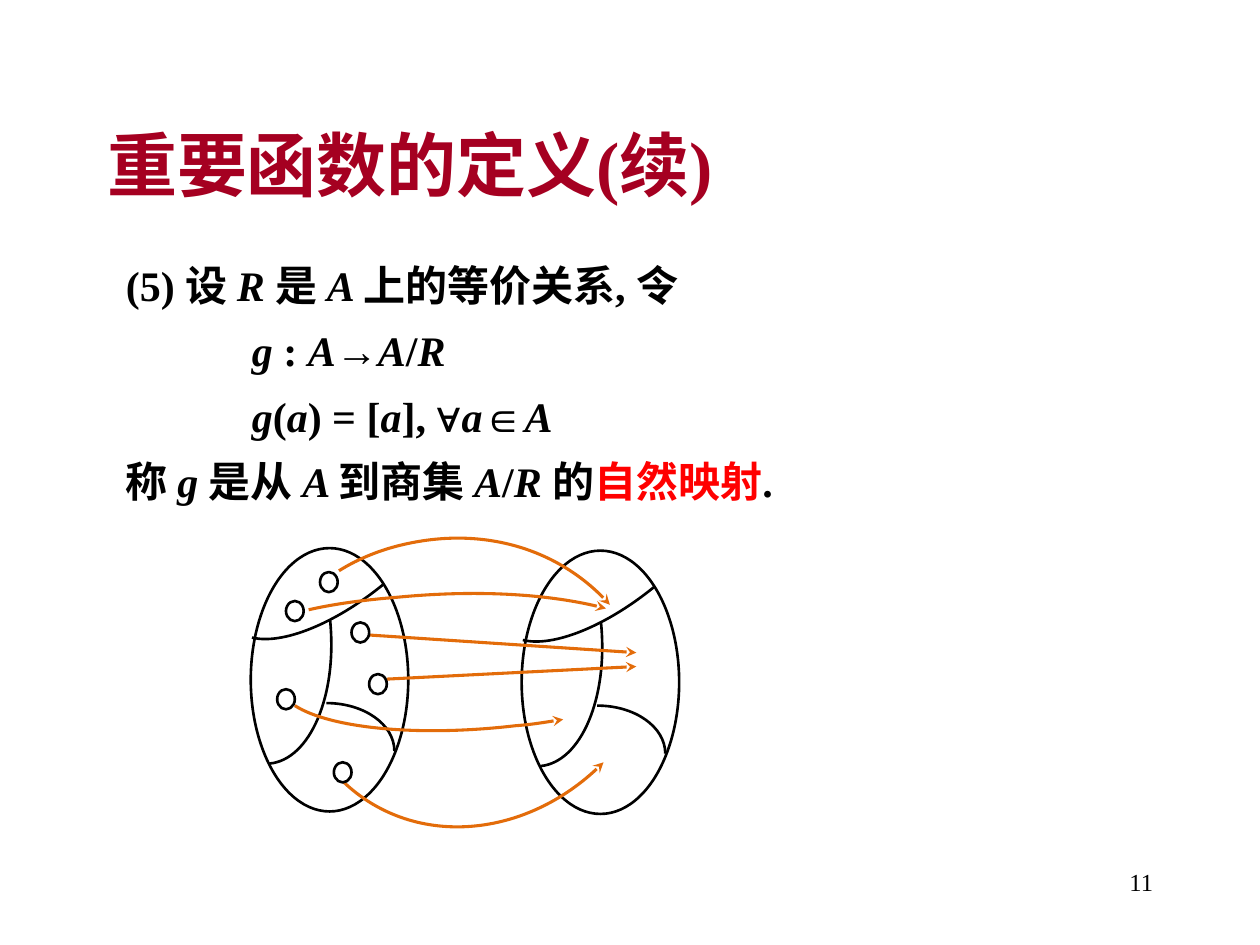
from itertools import cycle

from lxml.etree import SubElement
from pptx import Presentation
from pptx.dml.color import RGBColor
from pptx.enum.shapes import MSO_CONNECTOR, MSO_SHAPE
from pptx.enum.text import MSO_ANCHOR, MSO_AUTO_SIZE, PP_ALIGN
from pptx.oxml.ns import qn
from pptx.util import Inches, Pt

COLORS = {"text": "000000", "title": "A50021", "key": "FF0000",
          "arrow": "E36C0A", "paper": "FFFFFF"}
SERIF = "Times New Roman"

# Underscores switch between upright and italic; the number is the left indent.
DEFINITION = [
    ("(5) 设 _R _是 _A _上的等价关系, 令", 0),
    ("_g _: _A_→_A_/_R", 1),
    ("_g_(_a_) = [_a_], __∀_a_∈_A", 1),
    ("称 _g _是从 _A _到商集 _A_/_R _的__自然映射__.", 0),
]
KEY_TERM = "自然映射"

SET_SIZE = (1.25, 2.09)
QUOTIENT_OFFSET = (2.15, 0.02)
ELEMENT_SIZE = (0.14, 0.16)

# Cubic curves: a start point, then three points for each segment.
CLASS_BORDERS = [
    [(1.05, 0.29), (0.67, 0.6), (0.25, 0.77), (0.01, 0.71)],
    [(0.63, 0.57), (0.69, 1.17), (0.47, 1.68), (0.15, 1.71)],
    [(0.6, 1.23), (0.9, 1.23), (1.14, 1.4), (1.14, 1.61)],
]
CURVED_MAPPINGS = [
    [(0.7, 0.18), (0.86, 0.08), (1.04, 0.01), (1.22, -0.03),
     (1.83, -0.17), (2.46, 0.01), (2.85, 0.45)],
    [(0.46, 0.49), (0.68, 0.44), (0.92, 0.41), (1.17, 0.39),
     (1.8, 0.33), (2.41, 0.37), (2.82, 0.48)],
    [(0.73, 1.85), (1.28, 2.38), (2.2, 2.31), (2.8, 1.7)],
    [(0.35, 1.25), (0.63, 1.43), (1.33, 1.5), (2.1, 1.41),
     (2.23, 1.4), (2.35, 1.38), (2.48, 1.36)],
]
STRAIGHT_MAPPINGS = [((0.94, 0.69), (3.06, 0.83)), ((1.08, 1.04), (3.06, 0.94))]
ELEMENTS = [(0.28, 0.42), (0.55, 0.19), (0.21, 1.12),
            (0.8, 0.59), (0.94, 1.0), (0.66, 1.7)]


def rgb(name):
    return RGBColor.from_string(COLORS[name])


def set_font(font, size, color="text", bold=False):
    font.name, font.size, font.bold = SERIF, Pt(size), bold
    font.color.rgb = rgb(color)


def style_line(shape, color, width):
    shape.line.color.rgb = rgb(color)
    shape.line.width = Pt(width)


def add_arrowhead(shape):
    line = shape._element.spPr.find(qn("a:ln"))
    SubElement(line, qn("a:tailEnd"), type="stealth")


def add_oval(shapes, left, top, size):
    oval = shapes.add_shape(MSO_SHAPE.OVAL, Inches(left), Inches(top),
                            *map(Inches, size))
    oval.shadow.inherit = False
    oval.fill.solid()
    oval.fill.fore_color.rgb = rgb("paper")
    style_line(oval, "text", 1.5)


def add_curve(shapes, left, top, points, color, width):
    """Draw an open outline, then turn each three line steps into a cubic one."""
    start, *others = [(Inches(left + x), Inches(top + y)) for x, y in points]
    builder = shapes.build_freeform(*start)
    builder.add_line_segments(others, close=False)
    curve = builder.convert_to_shape()
    steps = list(curve._element.iter(qn("a:lnTo")))
    for first in range(0, len(steps), 3):
        outline = steps[first].getparent()
        cubic = SubElement(outline, qn("a:cubicBezTo"))
        for step in steps[first:first + 3]:
            cubic.append(step[0])
            outline.remove(step)
    curve.shadow.inherit = False
    curve.fill.background()
    style_line(curve, color, width)
    return curve


def add_partitioned_set(shapes, left, top):
    add_oval(shapes, left, top, SET_SIZE)
    for border in CLASS_BORDERS:
        add_curve(shapes, left, top, border, "text", 1.5)


def add_mappings(shapes, left, top):
    for points in CURVED_MAPPINGS:
        add_arrowhead(add_curve(shapes, left, top, points, "arrow", 1.75))
    for (x1, y1), (x2, y2) in STRAIGHT_MAPPINGS:
        arrow = shapes.add_connector(
            MSO_CONNECTOR.STRAIGHT, Inches(left + x1), Inches(top + y1),
            Inches(left + x2), Inches(top + y2))
        style_line(arrow, "arrow", 1.75)
        add_arrowhead(arrow)
        SubElement(arrow._element.spPr, qn("a:effectLst"))


def add_diagram(page, left, top):
    shapes = page.shapes.add_group_shape().shapes
    add_partitioned_set(shapes, left + QUOTIENT_OFFSET[0], top + QUOTIENT_OFFSET[1])
    add_partitioned_set(shapes, left, top)
    add_mappings(shapes, left, top)
    for x, y in ELEMENTS:
        add_oval(shapes, left + x, top + y, ELEMENT_SIZE)


def set_title(page, left, top, width, height):
    title = page.shapes.title
    title.left, title.top = Inches(left), Inches(top)
    title.width, title.height = Inches(width), Inches(height)
    frame = title.text_frame
    frame.text = "重要函数的定义(续)"
    frame.auto_size = MSO_AUTO_SIZE.NONE
    frame.vertical_anchor = MSO_ANCHOR.MIDDLE
    para = frame.paragraphs[0]
    para.alignment = PP_ALIGN.LEFT
    set_font(para.font, 40, "title", bold=True)


def add_text_frame(page, left, top, width, height):
    box = page.shapes.add_textbox(Inches(left), Inches(top),
                                  Inches(width), Inches(height))
    box.text_frame.word_wrap = True
    return box.text_frame


def add_definition(page, left, top, width, height):
    frame = add_text_frame(page, left, top, width, height)
    for index, (line, indent) in enumerate(DEFINITION):
        para = frame.add_paragraph() if index else frame.paragraphs[0]
        para.line_spacing = 1.3
        para._p.get_or_add_pPr().set("marL", str(Inches(indent)))
        set_font(para.font, 24, bold=True)
        for text, italic in zip(line.split("_"), cycle((False, True))):
            if not text:
                continue
            span = para.add_run()
            span.text = text
            span.font.italic = italic
            if text == "∀":
                span.font.name = "Arial"
            elif text == KEY_TERM:
                span.font.color.rgb = rgb("key")


def add_page_number(page, left, top, width, height):
    para = add_text_frame(page, left, top, width, height).paragraphs[0]
    para.text = "11"
    para.alignment = PP_ALIGN.RIGHT
    set_font(para.font, 14)


def main():
    deck = Presentation()
    deck.slide_width, deck.slide_height = Inches(10), Inches(7.5)
    page = deck.slides.add_slide(deck.slide_layouts[5])
    set_title(page, 0.75, 0.67, 8.5, 1.25)
    add_definition(page, 0.9, 1.89, 8.11, 2.18)
    add_diagram(page, 1.99, 4.35)
    add_page_number(page, 7.17, 6.83, 2.08, 0.5)
    deck.save("out.pptx")


if __name__ == "__main__":
    main()
